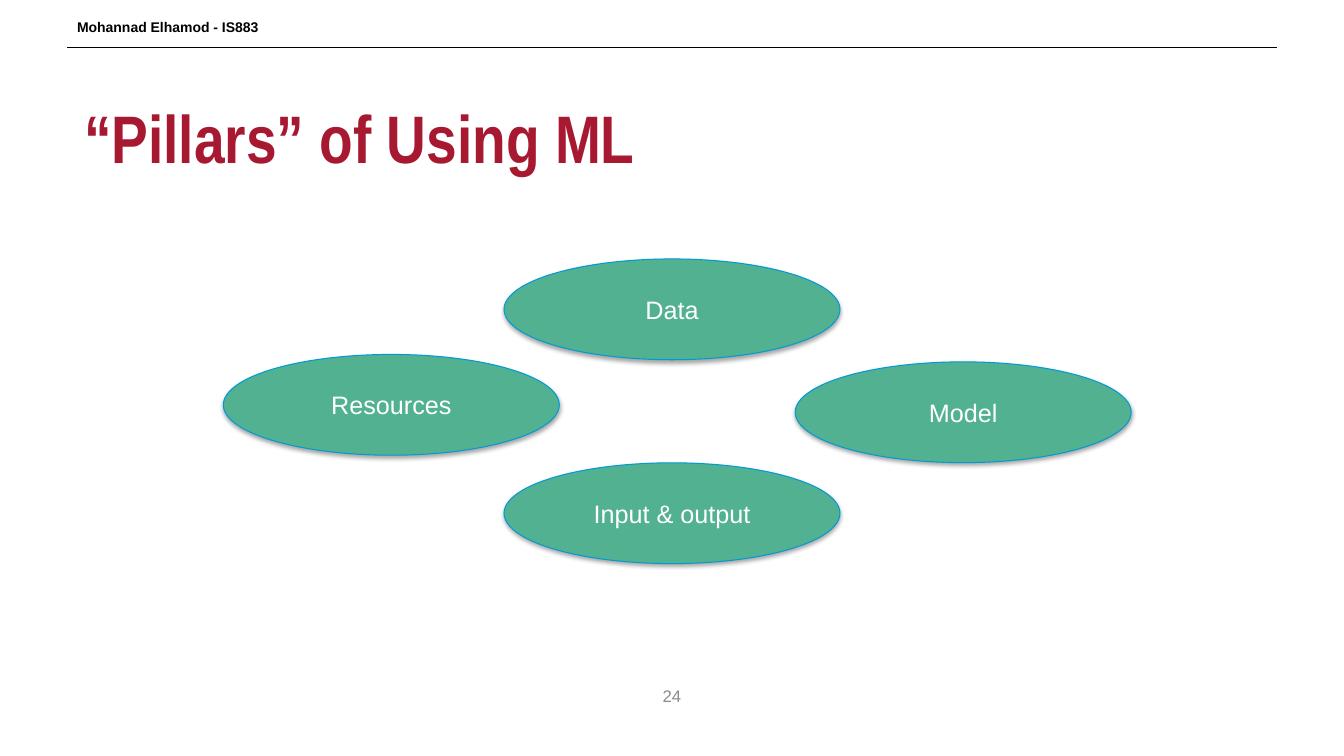
import pptx
import pptx.util
from lxml import etree
from pptx.dml.color import RGBColor
from pptx.enum.shapes import MSO_CONNECTOR, MSO_SHAPE
from pptx.enum.text import MSO_ANCHOR, PP_ALIGN
from pptx.oxml.ns import qn
from pptx.util import Pt

COLORS = {
    "black": "000000",
    "title": "A71930",
    "pillar": "52B191",
    "outline": "009BD5",
    "white": "FFFFFF",
    "number": "8C8C8C",
}
PILLAR_WIDTH, PILLAR_HEIGHT = 240, 72
PILLARS = [
    ("Data", 360, 185),
    ("Model", 568, 258.5),
    ("Resources", 159.5, 253.2),
    ("Input & output", 360, 330.6),
]


def color(name):
    return RGBColor.from_string(COLORS[name])


def write(shape, text, size, color_name, font="Arial", bold=False, align=PP_ALIGN.LEFT):
    frame = shape.text_frame
    frame.text = text
    frame.word_wrap = True
    frame.vertical_anchor = MSO_ANCHOR.MIDDLE
    para = frame.paragraphs[0]
    para.alignment = align
    span = para.runs[0]
    span.font.name = font
    span.font.size = Pt(size)
    span.font.bold = bold
    span.font.color.rgb = color(color_name)


def add_title(page, text):
    title = page.shapes.title
    title.left, title.top, title.width, title.height = Pt(52.8), Pt(66), Pt(860), Pt(63.5)
    write(title, text, 48, "title", font="Arial Narrow", bold=True)


def add_label(page, text, left, top, width, height, size, color_name, **style):
    box = page.shapes.add_textbox(Pt(left), Pt(top), Pt(width), Pt(height))
    write(box, text, size, color_name, **style)


def add_header_rule(page):
    rule = page.shapes.add_connector(
        MSO_CONNECTOR.STRAIGHT, Pt(48), Pt(34), Pt(912), Pt(34)
    )
    rule.line.color.rgb = color("black")
    rule.line.width = Pt(0.5)
    etree.SubElement(rule._element.spPr, qn("a:effectLst"))


def add_soft_shadow(shape):
    shape.shadow.inherit = False
    effects = shape._element.spPr.find(qn("a:effectLst"))
    shadow = etree.SubElement(
        effects, qn("a:outerShdw"), blurRad=str(Pt(3.1)), dist=str(Pt(1.8)),
        dir="5400000", rotWithShape="0",
    )
    tint = etree.SubElement(shadow, qn("a:srgbClr"), val=COLORS["black"])
    etree.SubElement(tint, qn("a:alpha"), val="35000")


def add_pillar(page, text, left, top):
    pillar = page.shapes.add_shape(
        MSO_SHAPE.OVAL, Pt(left), Pt(top), Pt(PILLAR_WIDTH), Pt(PILLAR_HEIGHT)
    )
    pillar.fill.solid()
    pillar.fill.fore_color.rgb = color("pillar")
    pillar.line.color.rgb = color("outline")
    pillar.line.width = Pt(0.75)
    add_soft_shadow(pillar)
    write(pillar, text, 18, "white", align=PP_ALIGN.CENTER)


def main():
    deck = pptx.Presentation()
    deck.slide_width, deck.slide_height = Pt(960), Pt(540)
    page = deck.slides.add_slide(deck.slide_layouts[5])
    add_header_rule(page)
    add_title(page, "“Pillars” of Using ML")
    add_label(page, "Mohannad Elhamod - IS883", 48, 5, 304, 29, 10, "black", bold=True)
    for text, left, top in PILLARS:
        add_pillar(page, text, left, top)
    add_label(page, "24", 368, 482.4, 224, 28.8, 12, "number", align=PP_ALIGN.CENTER)
    deck.save("out.pptx")


if __name__ == "__main__":
    main()
